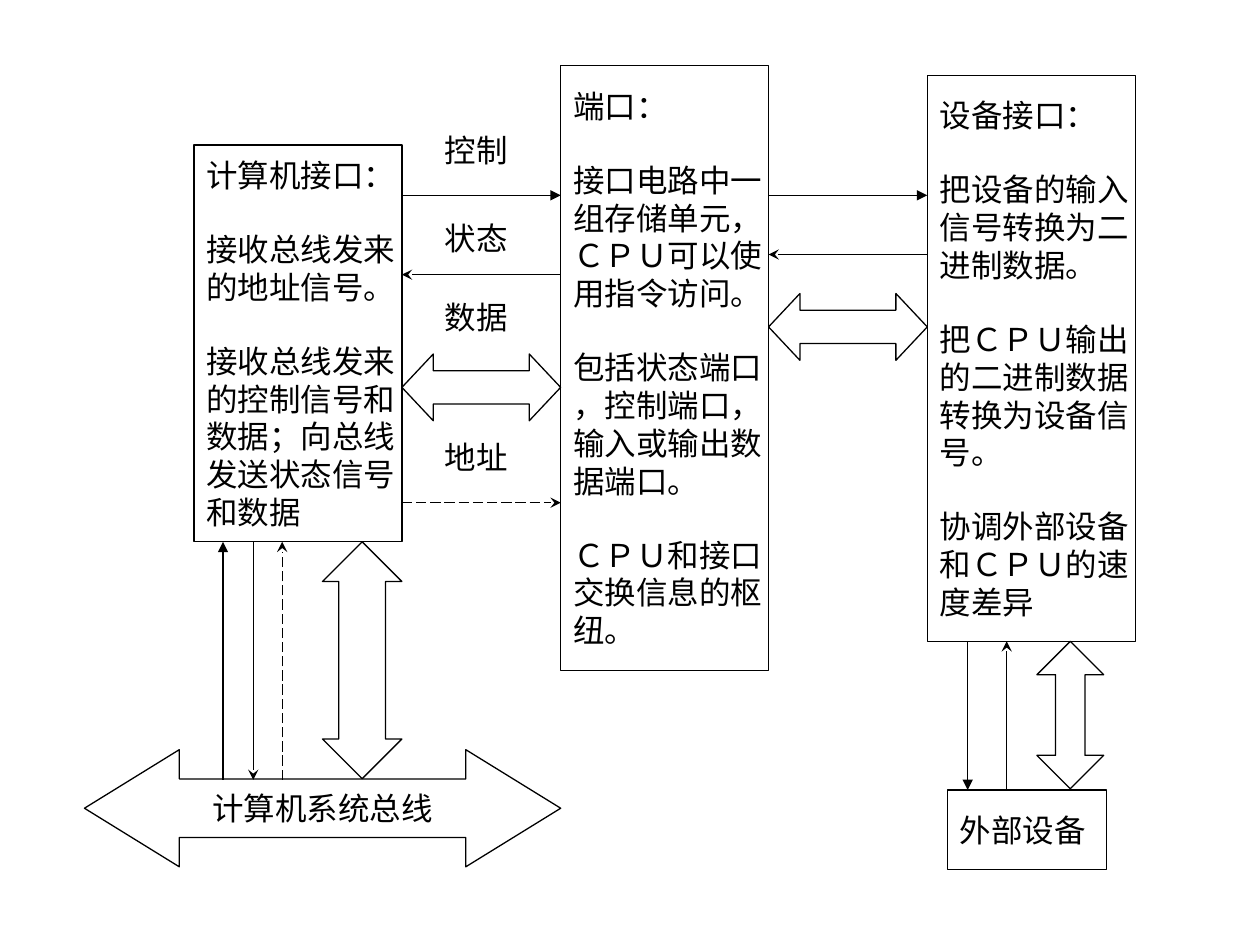
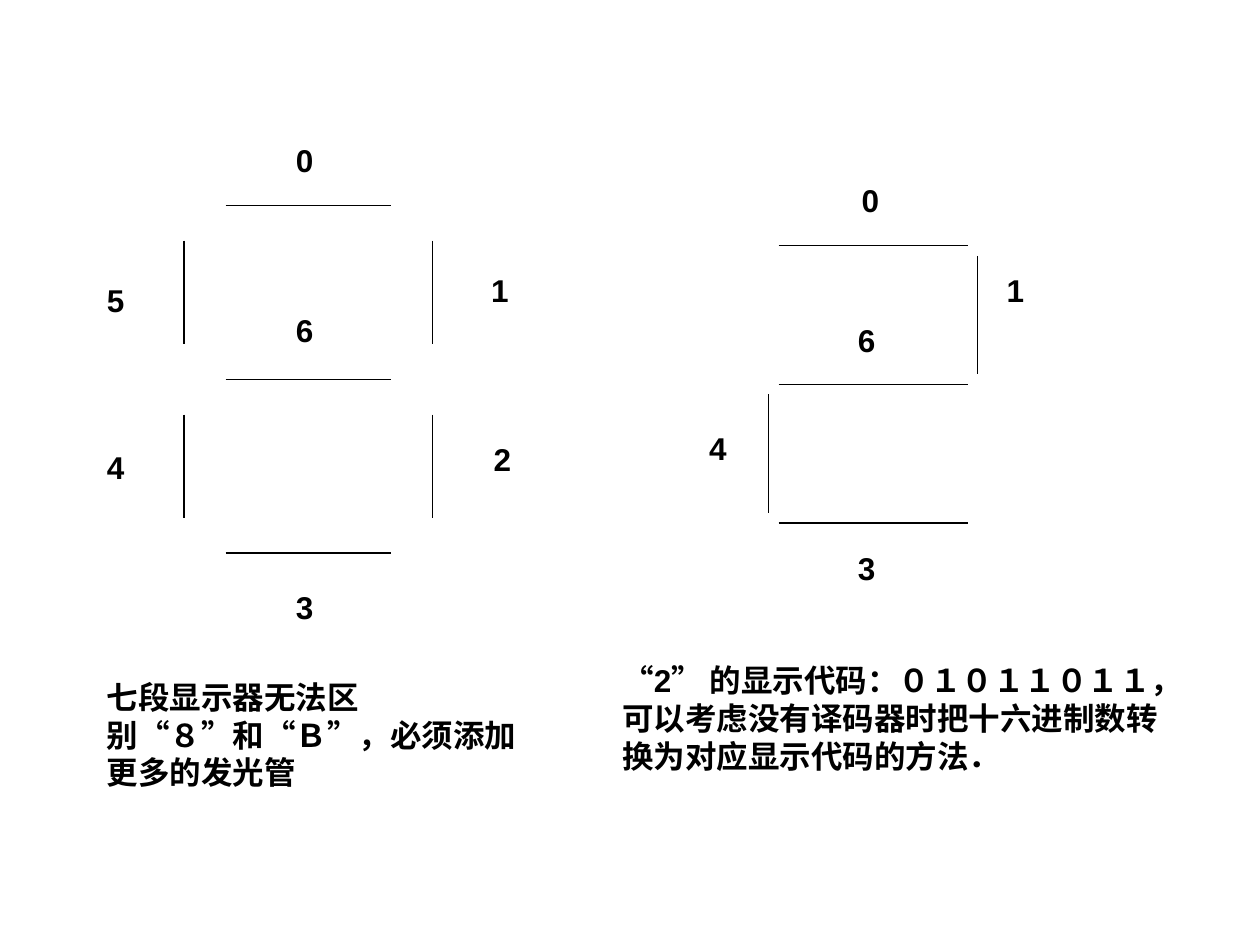
import pptx
import pptx.dml.color
import pptx.enum.dml
import pptx.enum.shapes
import pptx.enum.text
import pptx.oxml.ns
import pptx.util
from lxml import etree

Inches = pptx.util.Inches
Pt = pptx.util.Pt
SHAPE = pptx.enum.shapes.MSO_SHAPE
ALIGN = pptx.enum.text.PP_ALIGN
ANCHOR = pptx.enum.text.MSO_ANCHOR
LONG_DASH = pptx.enum.dml.MSO_LINE.LONG_DASH
qn = pptx.oxml.ns.qn

BLACK = pptx.dml.color.RGBColor(0x00, 0x00, 0x00)
FONT = {"name": "Arial", "size": Pt(18)}
MARGINS = {"margin_left": Inches(0.1), "margin_right": Inches(0.1),
           "margin_top": Inches(0.05), "margin_bottom": Inches(0.05)}
LINE_WIDTH = Pt(0.75)
BLOCK_GAP = Pt(20.7)  # one empty line between blocks of text

# Arrowhead and dash of each kind of signal
SIGNALS = {
    "控制": ("triangle", None),
    "状态": ("stealth", None),
    "地址": ("stealth", LONG_DASH),
}

# Columns of the interface diagram
COLUMN_LEFT, COLUMN_WIDTH, COLUMN_GAP = 1.54, 1.65, 1.26
COLUMNS = [  # top, height, blocks of lines
    (1.15, 3.15, [
        ["计算机接口："],
        ["接收总线发来", "的地址信号。"],
        ["接收总线发来", "的控制信号和", "数据；向总线", "发送状态信号", "和数据"],
    ]),
    (0.52, 4.8, [
        ["端口："],
        ["接口电路中一", "组存储单元，", "ＣＰＵ可以使", "用指令访问。"],
        ["包括状态端口", "，控制端口，", "输入或输出数", "据端口。"],
        ["ＣＰＵ和接口", "交换信息的枢", "纽。"],
    ]),
    (0.6, 4.49, [
        ["设备接口："],
        ["把设备的输入", "信号转换为二", "进制数据。"],
        ["把ＣＰＵ输出", "的二进制数据", "转换为设备信", "号。"],
        ["协调外部设备", "和ＣＰＵ的速", "度差异"],
    ]),
]


def set_all(target, values):
    for name, value in values.items():
        setattr(target, name, value)


def style_line(line):
    line.color.rgb = BLACK
    line.width = LINE_WIDTH


def write(frame, blocks, bold=None, wrap=False, align=ALIGN.LEFT, anchor=ANCHOR.TOP):
    """Fill a text frame; every block after the first starts after a gap."""
    set_all(frame, {**MARGINS, "word_wrap": wrap, "vertical_anchor": anchor})
    paragraph = frame.paragraphs[0]
    for number, block in enumerate(blocks):
        for row, text in enumerate(block):
            if number or row:
                paragraph = frame.add_paragraph()
            if number and not row:
                paragraph.space_before = BLOCK_GAP
            paragraph.alignment = align
            run = paragraph.add_run()
            run.text = text
            set_all(run.font, {**FONT, "bold": bold})
            run.font.color.rgb = BLACK


def add_label(slide, text, left, top, width, height=0.4, bold=None, wrap=False):
    label = slide.shapes.add_textbox(*map(Inches, (left, top, width, height)))
    write(label.text_frame, [[text]], bold, wrap)
    label.text_frame.auto_size = pptx.enum.text.MSO_AUTO_SIZE.SHAPE_TO_FIT_TEXT


def add_outline(slide, preset, box, blocks=(), align=ALIGN.LEFT, head=None):
    outline = slide.shapes.add_shape(preset, *map(Inches, box))
    outline.shadow.inherit = False
    outline.fill.background()
    style_line(outline.line)
    if head:
        outline.adjustments[1] = head
    write(outline.text_frame, blocks, align=align, anchor=ANCHOR.MIDDLE)


def add_line(shapes, start, end, signal=None):
    line = shapes.add_connector(pptx.enum.shapes.MSO_CONNECTOR.STRAIGHT,
                                *map(Inches, (*start, *end)))
    style_line(line.line)
    if signal:
        arrowhead, dash = SIGNALS[signal]
        if dash:
            line.line.dash_style = dash
        tail = etree.SubElement(line.line._get_or_add_ln(), qn("a:tailEnd"))
        tail.set("type", arrowhead)
    etree.SubElement(line._element.spPr, qn("a:effectLst"))


# Parts of the interface diagram

def column_left(index):
    return COLUMN_LEFT + index * (COLUMN_WIDTH + COLUMN_GAP)


def add_links_across(slide, index, signals, data_top):
    """Links in the gap to the right of a column: (signal, y, to the right?)."""
    left = column_left(index) + COLUMN_WIDTH
    right = left + COLUMN_GAP
    for signal, y, rightward in signals:
        ends = [(left, y), (right, y)]
        add_line(slide.shapes, *(ends if rightward else ends[::-1]), signal)
    add_outline(slide, SHAPE.LEFT_RIGHT_ARROW, (left, data_top, COLUMN_GAP, 0.53), head=0.47)


def add_links_down(slide, top, bottom, signals, data_left, data_width, head):
    """Links between two heights: (signal, x, downward?)."""
    for signal, x, downward in signals:
        ends = [(x, top), (x, bottom)]
        add_line(slide.shapes, *(ends if downward else ends[::-1]), signal)
    add_outline(slide, SHAPE.UP_DOWN_ARROW,
                (data_left, top, data_width, bottom - top - 0.01), head=head)


def build_interface_slide(slide):
    for index, (top, height, blocks) in enumerate(COLUMNS):
        add_outline(slide, SHAPE.RECTANGLE,
                    (column_left(index), top, COLUMN_WIDTH, height), blocks)

    # External device below the device interface
    add_outline(slide, SHAPE.RECTANGLE, (7.52, 6.27, 1.26, 0.63), [["外部设备"]])
    add_links_down(slide, 5.09, 6.27, [("控制", 7.68, True), ("状态", 7.99, False)],
                   8.23, 0.53, 0.44)

    # Links between the columns
    add_links_across(slide, 0, [("控制", 1.55, True), ("状态", 2.18, False),
                                ("地址", 3.99, True)], 2.81)
    add_links_across(slide, 1, [("控制", 1.55, True), ("状态", 2.02, False)], 2.33)

    # System bus below the computer interface
    add_outline(slide, SHAPE.LEFT_RIGHT_ARROW, (0.67, 5.95, 3.78, 0.93),
                [["计算机系统总线"]], ALIGN.CENTER, 0.81)
    add_links_down(slide, 4.3, 6.19, [("控制", 1.77, False), ("状态", 2.01, True),
                                      ("地址", 2.24, False)], 2.56, 0.63, 0.59)

    # Names of the signals
    for name, top in {"控制": 0.99, "状态": 1.69, "数据": 2.32, "地址": 3.43}.items():
        add_label(slide, name, 3.43, top, 0.7)


# Seven-segment display

def add_display(slide, box, gap_x, gap_y, digits):
    """Draw the lit segments; digits gives each one's label offset in the box."""
    left, top, width, height = box
    right, middle, bottom = left + width, top + height / 2, top + height

    def across(y):
        return (left + gap_x, y), (right - gap_x, y)

    def down(x, y):
        return (x, y + gap_y), (x, y + height / 2 - gap_y)

    segments = [across(top), down(right, top), down(right, middle), across(bottom),
                down(left, middle), down(left, top), across(middle)]
    display = slide.shapes.add_group_shape()
    for digit in digits:
        add_line(display.shapes, *segments[digit])
    for digit, (x, y) in digits.items():
        add_label(slide, str(digit), left + x, top + y, 0.34, bold=True)


def build_display_slide(slide):
    # All seven segments
    add_display(slide, (1.46, 1.63, 1.97, 2.76), 0.33, 0.28, {
        0: (0.79, -0.56), 1: (2.34, 0.47), 2: (2.36, 1.81), 3: (0.79, 2.99),
        4: (-0.71, 1.88), 5: (-0.71, 0.55), 6: (0.79, 0.79)})
    # Segments of the digit 2
    add_display(slide, (6.1, 1.95, 1.66, 2.2), 0.08, 0.08, {
        0: (0.64, -0.56), 1: (1.79, 0.15), 3: (0.61, 2.36),
        4: (-0.57, 1.41), 6: (0.61, 0.55)})
    # Captions
    add_label(slide, "“2” 的显示代码：０１０１１０１１，可以考虑没有译码器时"
              "把十六进制数转换为对应显示代码的方法．", 4.84, 5.2, 4.49, 1, True, True)
    add_label(slide, "七段显示器无法区别“８”和“Ｂ”，必须添加更多的发光管",
              0.75, 5.33, 3.62, 1, True, True)


def main():
    deck = pptx.Presentation()
    deck.slide_width, deck.slide_height = Inches(10), Inches(7.5)
    for build in (build_interface_slide, build_display_slide):
        build(deck.slides.add_slide(deck.slide_layouts[6]))
    deck.save("out.pptx")


if __name__ == "__main__":
    main()
